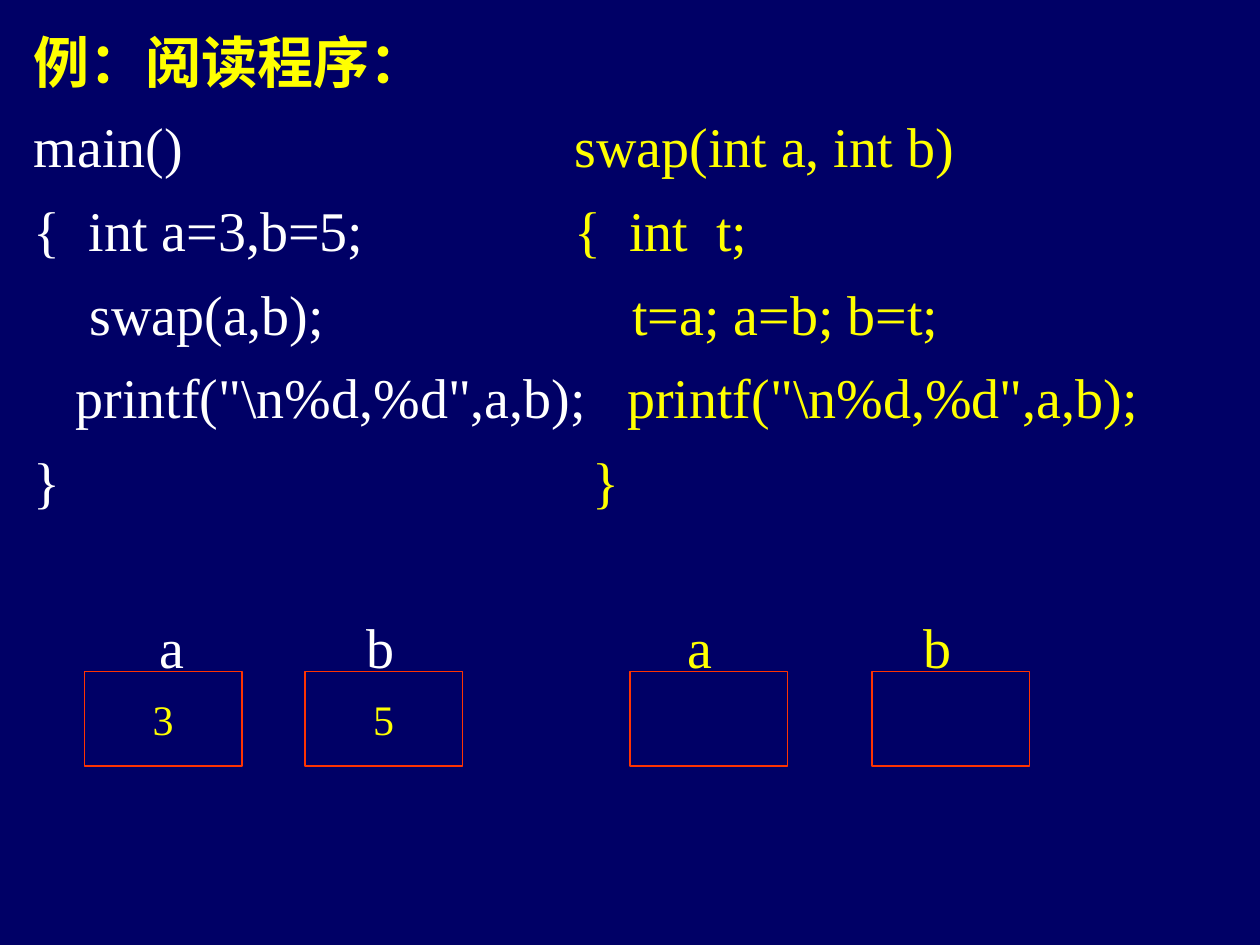
from pptx import Presentation, util as u
from pptx.dml.color import RGBColor
from pptx.enum import shapes, text
from lxml import etree

NAVY, YELLOW, WHITE, RED = "000066", "FFFF00", "FFFFFF", "FF3300"
FONT = "Times New Roman"
W, H = 10, 7.5
RIGHT = 4.29
GAP, BREAK = 9.5, 56

TITLE = "例：阅读程序："
CODE = [
    [(0, "main()", WHITE), (RIGHT, "swap(int a, int b)", YELLOW)],
    [(0, "{  int a=3,b=5;", WHITE), (RIGHT, "{  int  t;", YELLOW)],
    [(0.44, "swap(a,b);", WHITE), (RIGHT + 0.46, "t=a; a=b; b=t;", YELLOW)],
    [(0.33, 'printf("\\n%d,%d",a,b);', WHITE),
     (RIGHT + 0.42, 'printf("\\n%d,%d",a,b);', YELLOW)],
    [(0, "}", WHITE), (RIGHT + 0.14, "}", YELLOW)],
]
LABELS = [(1, "a", WHITE), (2.64, "b", WHITE),
          (5.19, "a", YELLOW), (7.06, "b", YELLOW)]
CELLS = [(0.67, "3"), (2.42, "5"), (5, ""), (6.92, "")]
CELL_TOP, CELL_W, CELL_H = 5.33, 1.25, 0.75


def rgb(c):
    return RGBColor.from_string(c)


def add_run(p, t, size=32, color=YELLOW, bold=False):
    r = p.add_run()
    r.text = t
    r.font.name, r.font.size, r.font.bold = FONT, u.Pt(size), bold
    r.font.color.rgb = rgb(color)


def add_line(tf, parts, before=GAP):
    p = tf.add_paragraph()
    p.space_before = u.Pt(before)
    pPr = p._p.get_or_add_pPr()
    ns = "{" + pPr.nsmap["a"] + "}"
    tabs = etree.SubElement(pPr, ns + "tabLst")
    for x, t, color in parts:
        if x:
            etree.SubElement(tabs, ns + "tab", pos=str(u.Inches(x)), algn="l")
        add_run(p, "\t" + t if x else t, color=color)


prs = Presentation()
prs.slide_width, prs.slide_height = u.Inches(W), u.Inches(H)
s = prs.slides.add_slide(prs.slide_layouts[6])
s.background.fill.solid()
s.background.fill.fore_color.rgb = rgb(NAVY)

tf = s.shapes.add_textbox(*map(u.Inches, (0.17, 0.17, 9.75, 7.25))).text_frame
tf.word_wrap = True
add_run(tf.paragraphs[0], TITLE, bold=True)
for parts in CODE:
    add_line(tf, parts)
add_line(tf, LABELS, BREAK)

for x, value in CELLS:
    sp = s.shapes.add_shape(shapes.MSO_SHAPE.RECTANGLE,
                            *map(u.Inches, (x, CELL_TOP, CELL_W, CELL_H)))
    sp.shadow.inherit = False
    sp.fill.solid()
    sp.fill.fore_color.rgb = rgb(NAVY)
    sp.line.color.rgb = rgb(RED)
    sp.line.width = u.Pt(0.75)
    if value:
        tf = sp.text_frame
        tf.word_wrap = False
        tf.vertical_anchor = text.MSO_ANCHOR.MIDDLE
        p = tf.paragraphs[0]
        p.alignment = text.PP_ALIGN.CENTER
        add_run(p, value, size=24)

prs.save("out.pptx")
